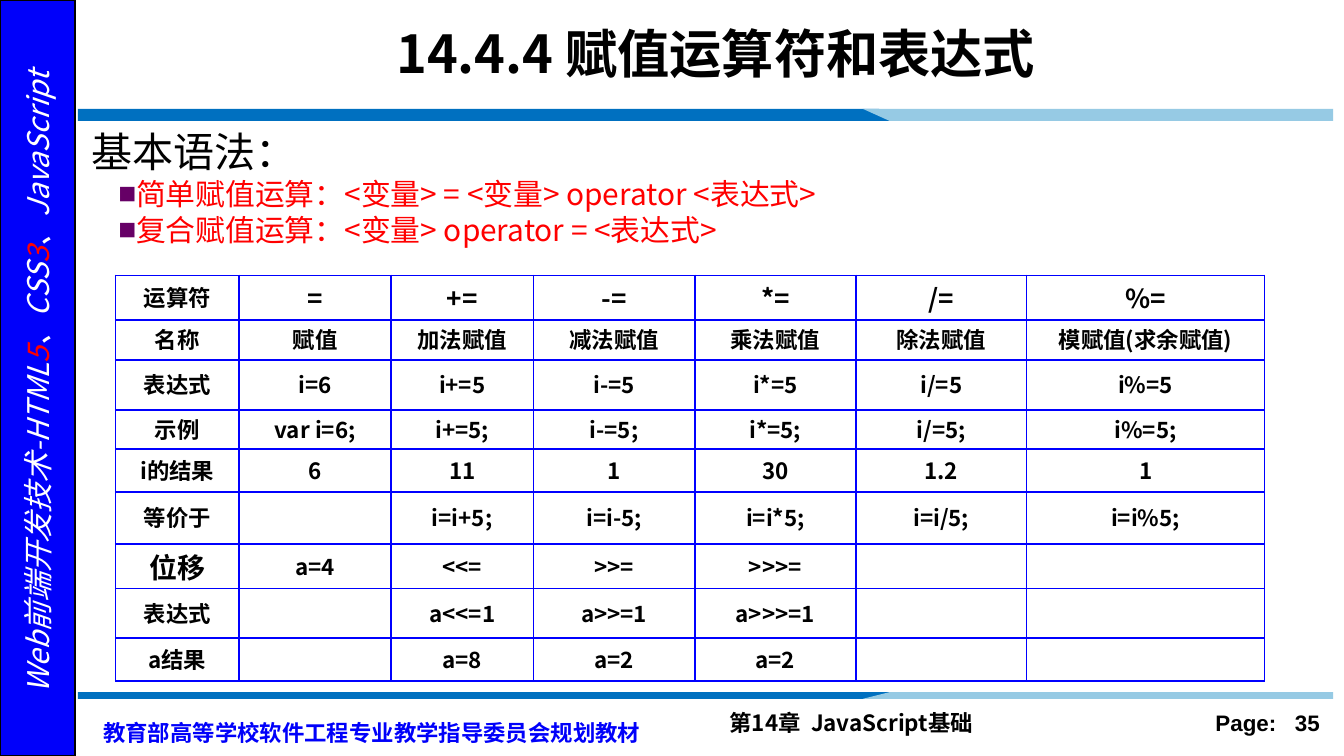
import pptx
import pptx.util
import pptx.dml.color
import pptx.enum.shapes
import pptx.enum.text
import pptx.oxml
import pptx.oxml.ns

Inches = pptx.util.Inches
Pt = pptx.util.Pt
ALIGN = pptx.enum.text.PP_ALIGN
MIDDLE = pptx.enum.text.MSO_ANCHOR.MIDDLE

CJK = "Noto Sans CJK SC"
BLUE, BLACK, RED, WHITE = "0000FA", "000000", "FF0000", "FFFFFF"
DARK, LIGHT, GRID, BULLET = "0070C0", "96CAE4", "0000FF", "660066"

TITLE = "14.4.4 赋值运算符和表达式"
HEADING = "基本语法："
SYNTAX = [
    "简单赋值运算：<变量> = <变量> operator <表达式>",
    "复合赋值运算：<变量> operator = <表达式>",
]
COURSE = [
    ("Web前端开发技术-HTML", WHITE), ("5", RED), ("、CSS", WHITE),
    ("3", RED), ("、JavaScript", WHITE),
]
FOOTERS = [
    ("第14章  JavaScript基础", (5.33, 5.23, 3.29, 0.3), CJK, BLACK, ALIGN.LEFT, None),
    ("Page:   35", (8.67, 5.23, 1.25, 0.3), "Arial", BLACK, ALIGN.RIGHT, None),
    ("教育部高等学校软件工程专业教学指导委员会规划教材", (0.67, 5.25, 4.33, 0.35),
     CJK, BLUE, ALIGN.LEFT, Pt(18)),
]
RULES = [(0.81, 0.9), (5.2, 5.15)]
COLS = [0.92, 1.13, 1.06, 1.2, 1.2, 1.27, 1.77]
ROWS = [
    (0.33, ["运算符", "=", "+=", "-=", "*=", "/=", "%="]),
    (0.3, ["名称", "赋值", "加法赋值", "减法赋值", "乘法赋值", "除法赋值", "模赋值(求余赋值)"]),
    (0.37, ["表达式", "i=6", "i+=5", "i-=5", "i*=5", "i/=5", "i%=5"]),
    (0.29, ["示例", "var i=6;", "i+=5;", "i-=5;", "i*=5;", "i/=5;", "i%=5;"]),
    (0.32, ["i的结果", "6", "11", "1", "30", "1.2", "1"]),
    (0.39, ["等价于", "", "i=i+5;", "i=i-5;", "i=i*5;", "i=i/5;", "i=i%5;"]),
    (0.33, ["位移", "a=4", "<<=", ">>=", ">>>=", "", ""]),
    (0.37, ["表达式", "", "a<<=1", "a>>=1", "a>>>=1", "", ""]),
    (0.32, ["a结果", "", "a=8", "a=2", "a=2", "", ""]),
]


def rgb(color):
    return pptx.dml.color.RGBColor.from_string(color)


def element(xml):
    return pptx.oxml.parse_xml(xml.replace(">", " " + pptx.oxml.ns.nsdecls("a") + ">", 1))


def style(p, size, color, bold=False, italic=False, name=CJK, align=ALIGN.LEFT, spacing=None):
    f = p.font
    f.size, f.bold, f.italic, f.name = Pt(size), bold, italic, name
    f.color.rgb = rgb(color)
    props = p._p.pPr.find(pptx.oxml.ns.qn("a:defRPr"))
    props.append(element(f'<a:ea typeface="{name}"></a:ea>'))
    p.alignment, p.line_spacing = align, spacing
    p.space_before = p.space_after = Pt(0)


def place(sp, left, top, width, height):
    sp.left, sp.top = Inches(left), Inches(top)
    sp.width, sp.height = Inches(width), Inches(height)


def paint(sp, color):
    sp.shadow.inherit = False
    sp.fill.solid()
    sp.fill.fore_color.rgb = rgb(color)
    sp.line.fill.background()


def add_sidebar(shapes, height):
    bar = shapes.add_shape(pptx.enum.shapes.MSO_SHAPE.RECTANGLE, 0, 0, Inches(0.56), height)
    paint(bar, BLUE)
    bar.line.color.rgb, bar.line.width = rgb(BLACK), Pt(1)
    label = shapes.add_textbox(Inches(-2.31), Inches(2.66), Inches(5.19), Inches(0.37))
    label.rotation = 270
    p = label.text_frame.paragraphs[0]
    style(p, 16, WHITE, italic=True, align=ALIGN.CENTER)
    for text, color in COURSE:
        r = p.add_run()
        r.text, r.font.color.rgb = text, rgb(color)


def add_rule(shapes, near, far):
    dark = [(0.58, near), (6.54, near), (6.72, far), (0.58, far)]
    light = [(6.42, near), (9.92, near), (9.92, far), (6.62, far)]
    for points, color in ((dark, DARK), (light, LIGHT)):
        start, *rest = [(Inches(x), Inches(y)) for x, y in points]
        outline = shapes.build_freeform(*start)
        outline.add_line_segments(rest, close=True)
        paint(outline.convert_to_shape(), color)


def add_footer(shapes, text, box, name, color, align, spacing):
    tf = shapes.add_textbox(*map(Inches, box)).text_frame
    tf.word_wrap = True
    tf.text = text
    style(tf.paragraphs[0], 12, color, bold=True, name=name, align=align, spacing=spacing)


def fill_body(sp):
    place(sp, 0.58, 0.89, 9.3, 1)
    tf = sp.text_frame
    tf.auto_size = pptx.enum.text.MSO_AUTO_SIZE.NONE
    tf.text = "\n".join([HEADING] + SYNTAX)
    heading, *items = tf.paragraphs
    style(heading, 22, BLACK, spacing=1.0)
    for p in items:
        p.level = 1
        style(p, 16, RED, spacing=1.0)
    for p, margin in [(heading, 0)] + [(p, 0.2) for p in items]:
        pPr = p._p.pPr
        pPr.set("marL", str(Inches(margin)))
        pPr.set("indent", "0")
        at = list(pPr).index(pPr.find(pptx.oxml.ns.qn("a:defRPr")))
        if margin:
            pPr.insert(at, element('<a:buChar char="■"></a:buChar>'))
            pPr.insert(at, element(f'<a:buClr><a:srgbClr val="{BULLET}"/></a:buClr>'))
        else:
            pPr.insert(at, element("<a:buNone></a:buNone>"))


def fill_cell(cell, text, size):
    cell.text = text
    cell.vertical_anchor = MIDDLE
    cell.margin_left = cell.margin_right = Inches(0.1)
    cell.margin_top = cell.margin_bottom = Inches(0.04)
    style(cell.text_frame.paragraphs[0], size, BLACK, bold=True, align=ALIGN.CENTER, spacing=0.9)
    cell.fill.background()
    for i, side in enumerate("LRTB"):
        cell._tc.tcPr.insert(i, element(
            f'<a:ln{side} w="{Pt(1)}"><a:solidFill><a:srgbClr val="{GRID}"/></a:solidFill></a:ln{side}>'))


def add_operators(shapes):
    heights = [height for height, _ in ROWS]
    table = shapes.add_table(len(ROWS), len(COLS), Inches(0.86), Inches(2.05),
                             Inches(sum(COLS)), Inches(sum(heights))).table
    table.first_row = table.horz_banding = False
    for column, width in zip(table.columns, COLS):
        column.width = Inches(width)
    for i, (height, texts) in enumerate(ROWS):
        table.rows[i].height = Inches(height)
        for j, text in enumerate(texts):
            size = 14 if i == 0 and j else 15 if text == "位移" else 12
            fill_cell(table.cell(i, j), text, size)


def main():
    """Build the slide on assignment operators and save it."""
    prs = pptx.Presentation()
    prs.slide_width = Inches(10)
    prs.slide_height = prs.slide_width * 9 // 16
    s = prs.slides.add_slide(prs.slide_layouts[1])
    title, body = s.placeholders
    add_sidebar(s.shapes, prs.slide_height)
    for near, far in RULES:
        add_rule(s.shapes, near, far)
    for footer in FOOTERS:
        add_footer(s.shapes, *footer)
    place(title, 1.08, 0.08, 8.49, 0.62)
    title.text_frame.text = TITLE
    title.text_frame.vertical_anchor = MIDDLE
    style(title.text_frame.paragraphs[0], 28, BLACK, bold=True, align=ALIGN.CENTER)
    fill_body(body)
    add_operators(s.shapes)
    prs.save("out.pptx")


if __name__ == "__main__":
    main()
